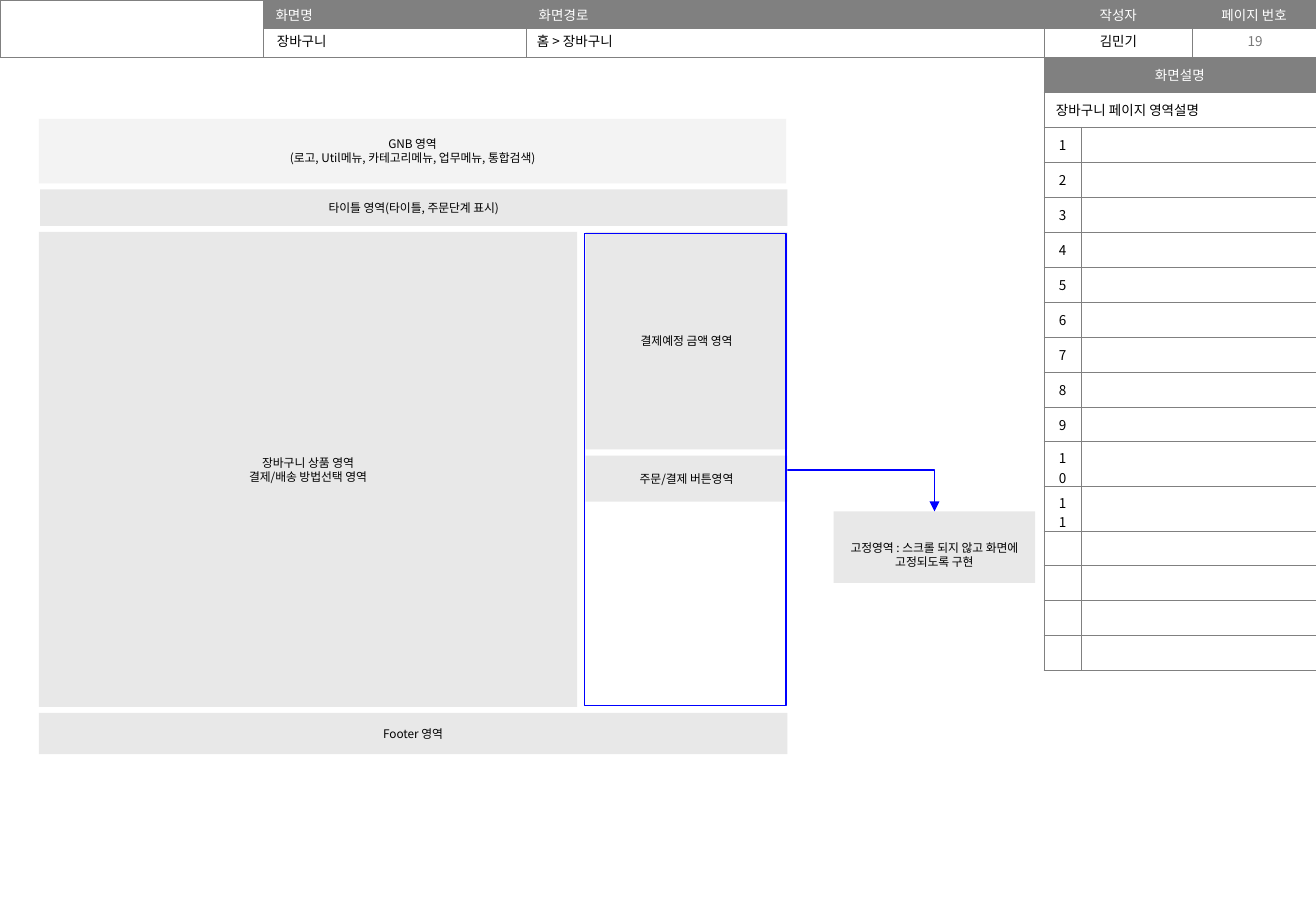
from dataclasses import dataclass

from lxml import etree
from pptx import Presentation
from pptx.dml.color import RGBColor
from pptx.enum.shapes import MSO_CONNECTOR, MSO_SHAPE
from pptx.enum.text import MSO_ANCHOR, PP_ALIGN
from pptx.oxml.ns import qn
from pptx.util import Inches, Pt

LEFT, CENTER = PP_ALIGN.LEFT, PP_ALIGN.CENTER
TOP, MIDDLE = MSO_ANCHOR.TOP, MSO_ANCHOR.MIDDLE
RECTANGLE, ELBOW = MSO_SHAPE.RECTANGLE, MSO_CONNECTOR.ELBOW


@dataclass(frozen=True)
class Theme:
    font: str = "Noto Sans CJK KR"
    black: str = "000000"
    white: str = "FFFFFF"
    header: str = "808080"
    page_number: str = "797979"
    pale: str = "F3F3F3"
    area: str = "E8E8E8"
    accent: str = "0000FF"
    table_size: float = 8
    area_size: float = 7
    border: float = 0.25
    outline: float = 0.75


THEME = Theme()
SLIDE_COLUMNS, SLIDE_ROWS = 108.3, 75


def grid(*steps):
    """Turn grid steps, a tenth of an inch each, into lengths."""
    return [Inches(step / 10) for step in steps]


def rgb(code):
    return RGBColor.from_string(code)


def style_paragraph(paragraph, size, color, align):
    paragraph.alignment = align
    font = paragraph.font
    font.name = THEME.font
    font.size = Pt(size)
    font.color.rgb = rgb(color)
    defaults = paragraph._p.pPr.find(qn("a:defRPr"))
    etree.SubElement(defaults, qn("a:ea"), typeface=THEME.font)
    if not paragraph.text:
        etree.SubElement(paragraph._p, qn("a:endParaRPr"), sz=str(int(size * 100)))


def add_label(slide, box, text, color=THEME.black, align=LEFT, anchor=TOP):
    frame = slide.shapes.add_textbox(*grid(*box)).text_frame
    frame.word_wrap = True
    frame.vertical_anchor = anchor
    frame.text = text
    style_paragraph(frame.paragraphs[0], THEME.table_size, color, align)


def add_area(slide, box, lines=(), fill=THEME.area, outline=None, margins=(1, 1, 1, 1)):
    area = slide.shapes.add_shape(RECTANGLE, *grid(*box))
    area.shadow.inherit = False
    if fill:
        area.fill.solid()
        area.fill.fore_color.rgb = rgb(fill)
    else:
        area.fill.background()
    if outline:
        area.line.color.rgb = rgb(outline)
        area.line.width = Pt(THEME.outline)
    else:
        area.line.fill.background()
    if not lines:
        return
    frame = area.text_frame
    frame.word_wrap = True
    frame.vertical_anchor = MIDDLE
    (frame.margin_left, frame.margin_top,
     frame.margin_right, frame.margin_bottom) = grid(*margins)
    frame.text = "\n".join(lines)
    for paragraph in frame.paragraphs:
        style_paragraph(paragraph, THEME.area_size, THEME.black, CENTER)


def add_borders(cell):
    properties = cell._tc.get_or_add_tcPr()
    for side in ("lnL", "lnR", "lnT", "lnB"):
        line = etree.SubElement(properties, qn(f"a:{side}"), w=str(Pt(THEME.border)))
        solid = etree.SubElement(line, qn("a:solidFill"))
        etree.SubElement(solid, qn("a:srgbClr"), val=THEME.header)


def fill_cell(cell, text="", align=LEFT, is_header=False, padding=0.5):
    add_borders(cell)
    cell.margin_top, cell.margin_bottom = grid(padding, padding)
    cell.vertical_anchor = MIDDLE
    cell.text = text
    color = THEME.white if is_header else THEME.black
    style_paragraph(cell.text_frame.paragraphs[0], THEME.table_size, color, align)
    if is_header:
        cell.fill.solid()
        cell.fill.fore_color.rgb = rgb(THEME.header)
    else:
        cell.fill.background()


def add_plain_table(slide, left, top, widths, row_count, row_height):
    box = grid(left, top, sum(widths), row_count * row_height)
    table = slide.shapes.add_table(row_count, len(widths), *box).table
    table.first_row = table.horz_banding = False
    for column, width in zip(table.columns, grid(*widths)):
        column.width = width
    return table


def add_page_header(slide):
    headings = [("", LEFT), ("화면명", LEFT), ("화면경로", LEFT),
                ("작성자", CENTER), ("페이지 번호", CENTER)]
    widths = (21.68, 21.66, 42.6, 12.2, 10.16)
    padding = 0.2
    table = add_plain_table(slide, 0, 0, widths, 2, 2.35)
    for column, (heading, align) in enumerate(headings):
        fill_cell(table.cell(0, column), heading, align, bool(heading), padding)
        fill_cell(table.cell(1, column), padding=padding)
    table.cell(0, 0).merge(table.cell(1, 0))

    top, height = 2.2, 2.4
    add_label(slide, (85.9, top, 12.3, height), "김민기", align=CENTER)
    add_label(slide, (98.3, top, 10, height), "19", THEME.page_number, CENTER, MIDDLE)
    add_label(slide, (21.8, top, 21.5, height), "장바구니")
    add_label(slide, (43.2, top, 21.5, height), "홈 > 장바구니")


def add_description_table(slide):
    titles = ("화면설명", "장바구니 페이지 영역설명")
    item_count, row_count = 11, 17
    table = add_plain_table(slide, 85.9, 4.7, (3.1, 19.3), row_count, 2.88)
    for row in range(row_count):
        number = row - len(titles) + 1
        is_title = row < len(titles)
        if is_title:
            text = titles[row]
        else:
            text = str(number) if number <= item_count else ""
        fill_cell(table.cell(row, 0), text, LEFT if row == 1 else CENTER, row == 0)
        fill_cell(table.cell(row, 1), is_header=row == 0)
        if is_title:
            table.cell(row, 0).merge(table.cell(row, 1))


def add_layout_areas(slide):
    left, width, gap = 3.2, 61.5, 0.5
    side_left, side_width = 48.2, 16.6
    gnb_top, gnb_height, title_height = 9.8, 5.3, 3
    body_height, footer_height, amount_height = 39.1, 3.4, 17.9
    title_top = gnb_top + gnb_height + gap
    body_top = title_top + title_height + gap
    footer_top = body_top + body_height + gap
    button_top = body_top + amount_height + gap

    add_area(slide, (left, gnb_top, width, gnb_height),
             ["GNB 영역", "(로고, Util메뉴, 카테고리메뉴, 업무메뉴, 통합검색)"], THEME.pale)
    add_area(slide, (left, body_top, 44.3, body_height),
             ["장바구니 상품 영역", "결제/배송 방법선택 영역"])
    add_area(slide, (left, footer_top, width + 0.1, footer_height), ["Footer 영역"])
    add_area(slide, (left + 0.1, title_top, width, title_height),
             ["타이틀 영역(타이틀, 주문단계 표시)"])
    add_area(slide, (side_left, body_top, side_width, amount_height),
             ["결제예정 금액 영역"])
    add_area(slide, (68.6, 42.1, side_width, 5.9),
             ["고정영역 : 스크롤 되지 않고 화면에 고정되도록 구현"], margins=(0, 1.2, 0, 0))
    add_fixed_area_arrow(slide, (64.7, 38.7), (76.9, 42.1))
    add_area(slide, (side_left, button_top, side_width, 3.8), ["주문/결제 버튼영역"])
    add_area(slide, (side_left - 0.1, body_top + 0.1, side_width, body_height - 0.2),
             fill=None, outline=THEME.accent)


def add_fixed_area_arrow(slide, start, end):
    """Draw an arrow that runs right, then turns down once."""
    arrow = slide.shapes.add_connector(ELBOW, *grid(*start, *end))
    arrow.line.color.rgb = rgb(THEME.accent)
    arrow.line.width = Pt(THEME.outline)
    properties = arrow._element.spPr
    properties.find(qn("a:prstGeom")).set("prst", "bentConnector2")
    etree.SubElement(properties.find(qn("a:ln")), qn("a:tailEnd"), type="triangle")
    etree.SubElement(properties, qn("a:effectLst"))


def main():
    presentation = Presentation()
    presentation.slide_width, presentation.slide_height = grid(SLIDE_COLUMNS, SLIDE_ROWS)
    slide = presentation.slides.add_slide(presentation.slide_layouts[6])
    add_page_header(slide)
    add_description_table(slide)
    add_layout_areas(slide)
    presentation.save("out.pptx")


if __name__ == "__main__":
    main()
